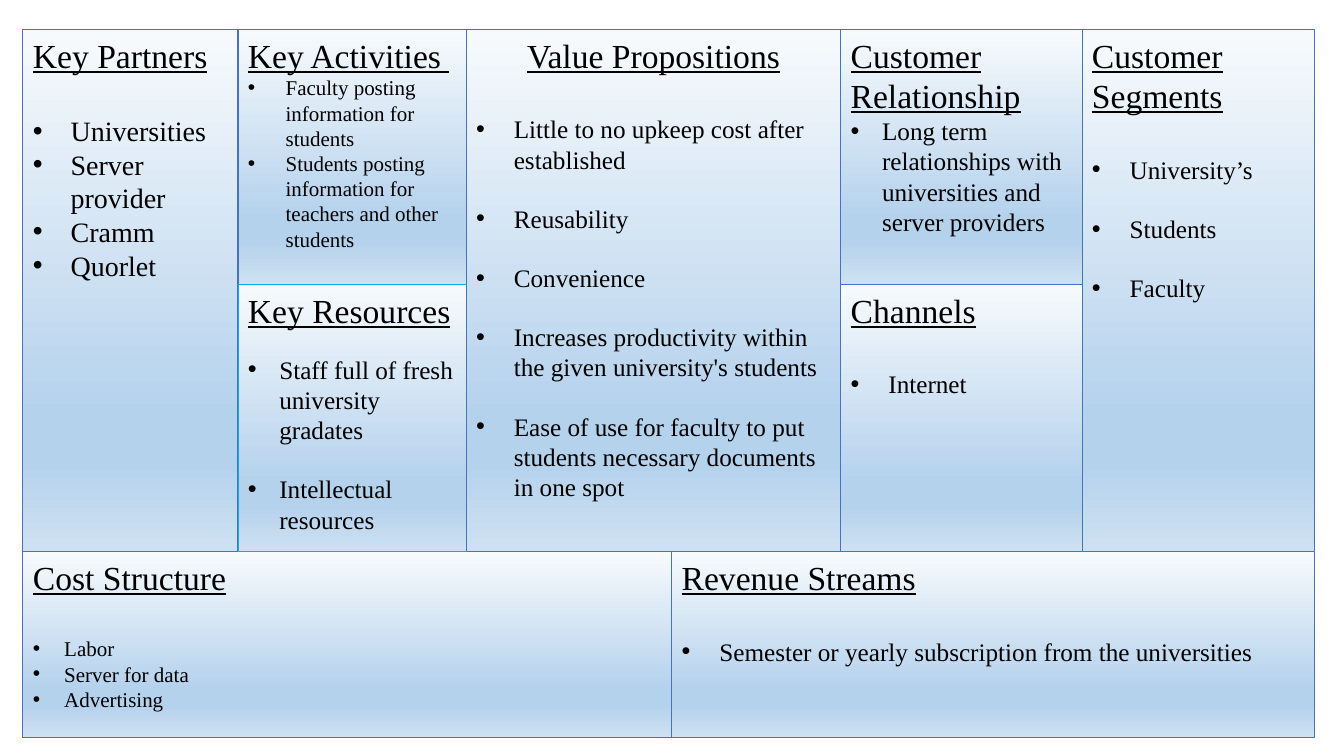
from pptx import Presentation, util as u
from pptx.dml.color import RGBColor
from pptx.enum import shapes, text
from pptx.oxml import parse_xml
from pptx.oxml.ns import nsdecls, qn

BLACK = RGBColor(0x00, 0x00, 0x00)
BLUE = RGBColor(0x44, 0x72, 0xC4)
CYAN = RGBColor(0x00, 0xB0, 0xF0)
PALE = RGBColor(0xF7, 0xFA, 0xFD)
SKY = RGBColor(0xB5, 0xD2, 0xEC)
MIST = RGBColor(0xCE, 0xE1, 0xF2)
GRADIENT = [(0, PALE), (74, SKY), (83, SKY), (100, MIST)]
LINE_HEIGHT = 1.15


def add_text(paragraph, words, size=18, underline=False, indent=0, before=0, after=0,
             align=text.PP_ALIGN.LEFT):
    paragraph.alignment = align
    paragraph.space_before = u.Pt(before)
    paragraph.space_after = u.Pt(after)
    run = paragraph.add_run()
    run.text = words
    run.font.name = "Times New Roman"
    run.font.size = u.Pt(size)
    run.font.underline = underline
    run.font.color.rgb = BLACK
    if indent:
        properties = paragraph._p.get_or_add_pPr()
        properties.set("marL", str(u.Cm(indent)))
        properties.set("indent", str(-u.Cm(indent)))
        properties.append(parse_xml(f'<a:buFont {nsdecls("a")} typeface="Arial"/>'))
        properties.append(parse_xml(f'<a:buChar {nsdecls("a")} char="•"/>'))


def add_panel(slide, left, top, right, bottom, line_color):
    shape = slide.shapes.add_shape(shapes.MSO_SHAPE.RECTANGLE, u.Cm(left), u.Cm(top),
                                   u.Cm(right - left), u.Cm(bottom - top))
    shape.shadow.inherit = False
    shape.line.color.rgb = line_color
    shape.line.width = u.Pt(0.75)
    shape.fill.gradient()
    shape.fill.gradient_angle = 270
    stops = shape._element.spPr.find(qn("a:gradFill")).find(qn("a:gsLst"))
    for stop in list(stops):
        stops.remove(stop)
    for position, color in GRADIENT:
        stops.append(parse_xml(f'<a:gs {nsdecls("a")} pos="{position * 1000}">'
                               f'<a:srgbClr val="{color}"/></a:gs>'))
    shape.text_frame.word_wrap = True
    shape.text_frame.vertical_anchor = text.MSO_ANCHOR.TOP
    return shape


presentation = Presentation()
presentation.slide_width = u.Cm(33.87)
presentation.slide_height = u.Cm(19.05)
slide = presentation.slides.add_slide(presentation.slide_layouts[6])

LEFT, ACTIVITIES, VALUE, CUSTOMER, SEGMENTS, RIGHT = 0.58, 6.0, 11.75, 21.19, 27.27, 33.14
TOP, MIDDLE, FLOOR, BOTTOM = 0.75, 7.17, 13.91, 18.58
HALF = 16.93
WIDE, NARROW = 0.95, 0.79

# title, edges, bullet size, indent, heading gap size, bullet gap size, bullets
panels = [
    ("Key Partners", (LEFT, TOP, ACTIVITIES, FLOOR), 20, WIDE, 24, 0,
     ["Universities", "Server provider", "Cramm", "Quorlet"]),
    ("Cost Structure", (LEFT, FLOOR, HALF, BOTTOM), 15, NARROW, 24, 0,
     ["Labor", "Server for data", "Advertising"]),
    ("Key Activities ", (ACTIVITIES, TOP, VALUE, MIDDLE), 15, WIDE, 0, 0,
     ["Faculty posting information for students",
      "Students posting information for teachers and other students"]),
    ("Key Resources", (ACTIVITIES, MIDDLE, VALUE, FLOOR), 18, NARROW, 15, 18,
     ["Staff full of fresh university gradates", "Intellectual resources"]),
    ("Revenue Streams", (HALF, FLOOR, RIGHT, BOTTOM), 18, WIDE, 24, 0,
     ["Semester or yearly subscription from the universities"]),
    ("Value Propositions", (VALUE, TOP, CUSTOMER, FLOOR), 18, WIDE, 24, 18,
     ["Little to no upkeep cost after established", "Reusability", "Convenience",
      "Increases productivity within the given university's students",
      "Ease of use for faculty to put students necessary documents in one spot"]),
    ("Customer Relationship", (CUSTOMER, TOP, SEGMENTS, MIDDLE), 18, NARROW, 0, 0,
     ["Long term relationships with universities and server providers"]),
    ("Channels", (CUSTOMER, MIDDLE, SEGMENTS, FLOOR), 18, WIDE, 24, 0, ["Internet"]),
    ("Customer Segments", (SEGMENTS, TOP, RIGHT, FLOOR), 18, WIDE, 24, 18,
     ["University’s", "Students", "Faculty"]),
]

for title, edges, size, indent, heading_gap, bullet_gap, bullets in panels:
    panel = add_panel(slide, *edges, CYAN if title == "Key Resources" else BLUE)
    centred = title == "Value Propositions"
    frame = panel.text_frame
    add_text(frame.paragraphs[0], title, size=24, underline=True,
             after=heading_gap * LINE_HEIGHT,
             align=text.PP_ALIGN.CENTER if centred else text.PP_ALIGN.LEFT)
    for number, bullet in enumerate(bullets):
        add_text(frame.add_paragraph(), bullet, size=size, indent=indent,
                 before=bullet_gap * LINE_HEIGHT if number else 0)

presentation.save("out.pptx")
